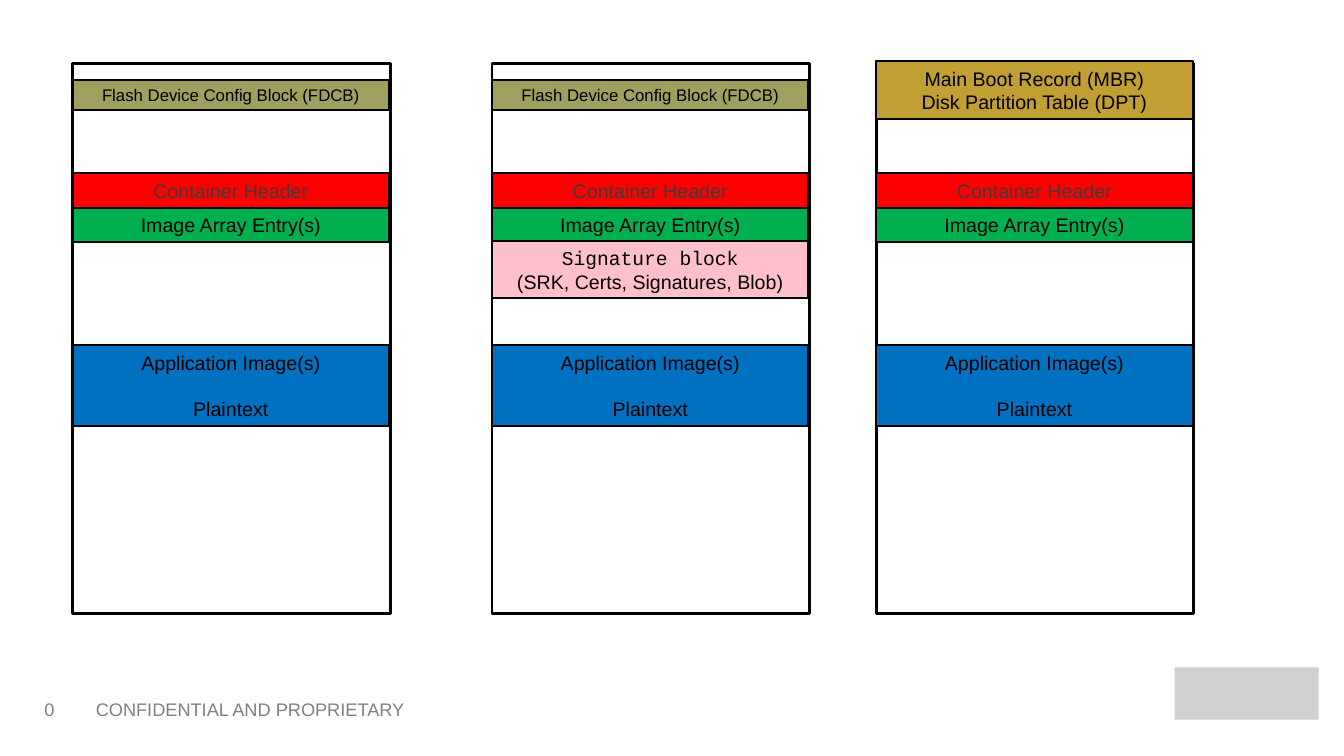
from pptx import Presentation
from pptx.dml.color import RGBColor
from pptx.enum.shapes import MSO_SHAPE as Shape
from pptx.enum.text import MSO_ANCHOR as Anchor, PP_ALIGN as Align
from pptx.util import Inches, Pt

BLACK = RGBColor(0x00, 0x00, 0x00)
CHARCOAL = RGBColor(0x3C, 0x3C, 0x3C)
GRAY = RGBColor(0x80, 0x80, 0x80)
LIGHT_GRAY = RGBColor(0xD0, 0xD0, 0xD0)
OLIVE = RGBColor(0x9F, 0x9F, 0x5F)
GOLD = RGBColor(0xC1, 0x9F, 0x32)
RED = RGBColor(0xFF, 0x00, 0x00)
GREEN = RGBColor(0x00, 0xB0, 0x50)
PINK = RGBColor(0xFF, 0xC0, 0xCB)
BLUE = RGBColor(0x00, 0x70, 0xC0)

SANS = "Arial"
MONO = "Courier New"
COLUMN_TOP, COLUMN_WIDTH, COLUMN_HEIGHT = 0.63, 3.15, 5.46


def write_text(frame, lines, size=14, color=BLACK, fonts=(SANS,),
               align=Align.CENTER, anchor=Anchor.MIDDLE, gap=0):
    frame.word_wrap = True
    frame.vertical_anchor = anchor
    for index, line in enumerate(lines):
        paragraph = frame.add_paragraph() if index else frame.paragraphs[0]
        paragraph.alignment = align
        paragraph.space_before = Pt(gap if index else 0)
        run = paragraph.add_run()
        run.text = line
        run.font.name = fonts[min(index, len(fonts) - 1)]
        run.font.size = Pt(size)
        run.font.color.rgb = color


class MemoryMapSlide:
    def __init__(self, presentation):
        self.slide = presentation.slides.add_slide(presentation.slide_layouts[6])
        self.line_color = BLACK

    def box(self, left, top, width, height, fill=None, line_width=None):
        shape = self.slide.shapes.add_shape(
            Shape.RECTANGLE, Inches(left), Inches(top), Inches(width), Inches(height))
        shape.shadow.inherit = False
        if fill is None:
            shape.fill.background()
        else:
            shape.fill.solid()
            shape.fill.fore_color.rgb = fill
        if line_width is None:
            shape.line.fill.background()
        else:
            shape.line.color.rgb = self.line_color
            shape.line.width = Pt(line_width)
        return shape

    def block(self, left, top, height, fill, lines, **text_format):
        shape = self.box(left, top, COLUMN_WIDTH - 0.01, height, fill, 1.5)
        write_text(shape.text_frame, lines, **text_format)

    def column(self, left, blocks):
        self.box(left, COLUMN_TOP, COLUMN_WIDTH, COLUMN_HEIGHT, line_width=2)
        for top, height, fill, lines, text_format in blocks:
            self.block(left, top, height, fill, lines, **text_format)

    def footer(self, left, width, text, **text_format):
        shape = self.slide.shapes.add_textbox(
            Inches(left), Inches(6.89), Inches(width), Inches(0.3))
        shape.text_frame.margin_left = Inches(0.08)
        write_text(shape.text_frame, [text], size=13, color=GRAY,
                   align=Align.LEFT, **text_format)


FLASH_CONFIG = (0.79, 0.3, OLIVE, ["Flash Device Config Block (FDCB)"], {"size": 12})
BOOT_RECORD = (0.61, 0.57, GOLD,
               ["Main Boot Record (MBR)", "Disk Partition Table (DPT)"], {})
SIGNATURE = (2.39, 0.57, PINK,
             ["Signature block", "(SRK, Certs, Signatures, Blob)"], {"fonts": (MONO, SANS)})
COMMON = [
    (1.72, 0.34, RED, ["Container Header"], {"color": CHARCOAL}),
    (2.06, 0.34, GREEN, ["Image Array Entry(s)"], {}),
    (3.42, 0.81, BLUE, ["Application Image(s)", "Plaintext"], {"gap": 16}),
]
COLUMNS = [
    (0.72, [FLASH_CONFIG, *COMMON]),
    (4.88, [FLASH_CONFIG, *COMMON, SIGNATURE]),
    (8.69, [BOOT_RECORD, *COMMON]),
]

presentation = Presentation()
presentation.slide_width = Inches(13.33)
presentation.slide_height = Inches(7.5)

memory_map = MemoryMapSlide(presentation)
memory_map.footer(0.87, 3.98, "CONFIDENTIAL AND PROPRIETARY")
memory_map.footer(0.36, 0.5, "0")
memory_map.box(11.65, 6.62, 1.43, 0.52, LIGHT_GRAY)
for column_left, column_blocks in COLUMNS:
    memory_map.column(column_left, column_blocks)

presentation.save("out.pptx")
